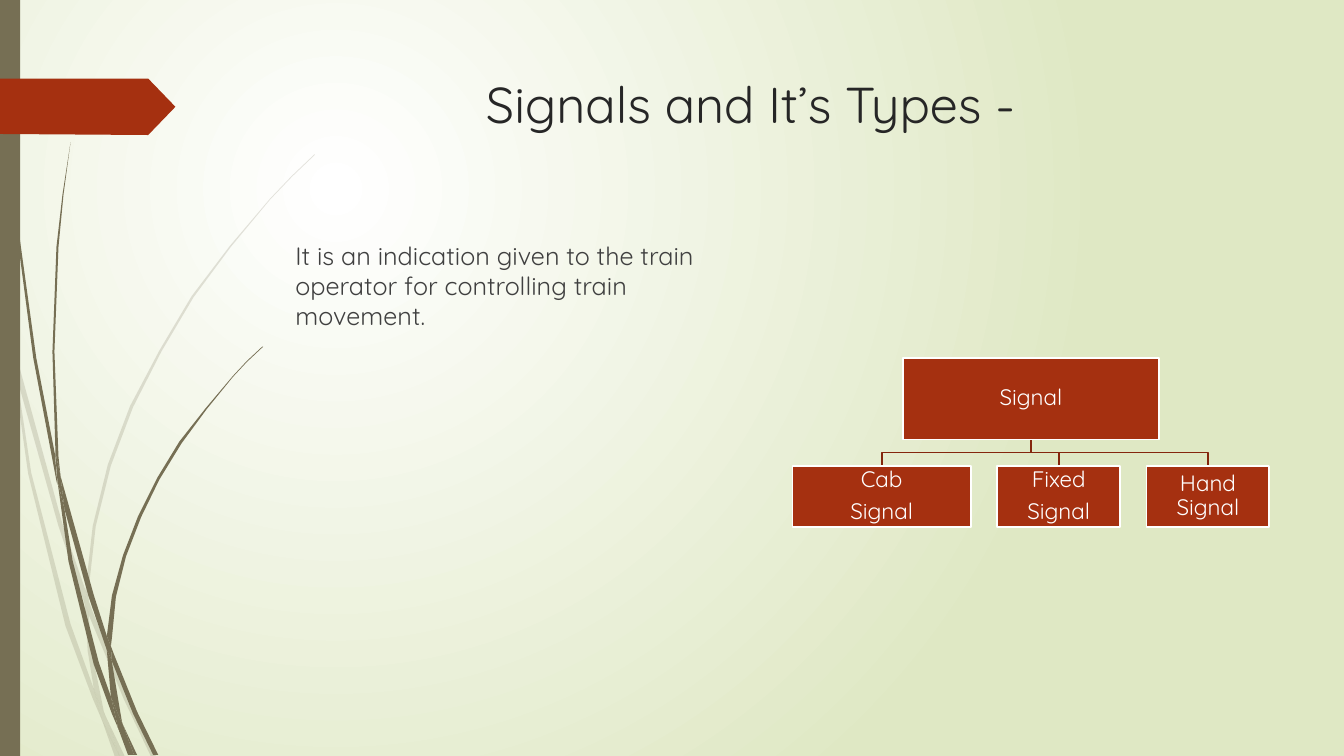
from dataclasses import dataclass

from lxml import etree
from pptx import Presentation
from pptx.dml.color import RGBColor
from pptx.enum.shapes import MSO_SHAPE
from pptx.enum.text import MSO_ANCHOR, MSO_AUTO_SIZE, PP_ALIGN
from pptx.oxml.ns import qn
from pptx.shapes.autoshape import Shape
from pptx.slide import Slide
from pptx.text.text import _Paragraph
from pptx.util import Inches, Pt

RECTANGLE = MSO_SHAPE.RECTANGLE
TOP, MIDDLE = MSO_ANCHOR.TOP, MSO_ANCHOR.MIDDLE
LEFT, CENTER = PP_ALIGN.LEFT, PP_ALIGN.CENTER
NO_AUTOFIT = MSO_AUTO_SIZE.NONE

FONT = "Quicksand"
OLIVE, RUST, DARK_RUST, WHITE = "766F54", "A53010", "84260D", "FFFFFF"
BOX_GAP, LEVEL_GAP = 0.26, 0.26

Point = tuple[float, float]


@dataclass(frozen=True)
class Grass:
    opacity: int
    outlines: tuple[str, ...]


@dataclass(frozen=True)
class SignalBox:
    lines: tuple[str, ...]
    width: float


PALE_GRASS = Grass(20, (
    "0.11,3.5 0.09,3.22 0,2.82 0,2.99 0.1,3.44",
    "0.58,5.22 0.84,5.99 0.85,5.86 0.62,5.2 0.14,3.45 0.17,3.76",
    "0.92,6.07 0.88,5.96 0.88,6.1 1.23,6.94 1.5,7.51 1.55,7.51 1.27,6.92",
    "1.19,7.51 1.24,7.51 1.05,7.11",
    "0.93,6.83 0.7,6.19 0.31,4.69 0.17,3.76 0.11,3.5 0.28,4.7 0.65,6.21 0.92,6.93 1.01,7.14 0.99,7.07",
    "0.84,5.99 0.87,6.46 0.93,6.83 0.96,6.92 1.05,7.11 1.03,7.06 0.91,6.46 0.88,6.1 0.88,6.08",
    "0.88,5.84 0.95,5.22 1.1,4.62 1.32,4.04 1.6,3.49 1.92,2.95 2.29,2.45 2.68,1.98 2.9,1.75 3.12,1.54 "
    "3.12,1.53 2.89,1.75 2.68,1.97 2.28,2.44 1.9,2.94 1.58,3.48 1.29,4.03 1.07,4.61 0.92,5.22 "
    "0.85,5.84 0.85,5.86 0.88,5.96",
    "1.01,7.14 1.14,7.51 1.19,7.51",
    "0.88,6.08 0.88,6.1 0.88,5.96 0.85,5.86 0.84,5.99",
    "0.96,6.92 0.93,6.83 0.99,7.07 1.01,7.14 1.19,7.51 1.05,7.11",
))
DARK_GRASS = Grass(100, (
    "0.07,1.1 0.17,2.33 0.33,3.55 0.56,4.77 0.57,4.81 0.55,4.57 0.55,4.53 0.36,3.55 0.19,2.32 "
    "0.08,1.09 0.05,0.48 0.04,0 0.03,0 0.04,0.48",
    "0.88,5.92 1.06,6.45 1.06,6.33 1.06,6.31 0.93,5.9 0.6,4.72 0.64,5.05",
    "1.13,6.49 1.1,6.41 1.11,6.56 1.32,7.08 1.52,7.49 1.57,7.49 1.36,7.06",
    "1.1,6.91 0.98,6.57 0.72,5.56 0.64,5.05 0.57,4.77 0.68,5.57 0.93,6.59 1.11,7.08 1.17,7.22 1.16,7.17",
    "0.6,4.72 0.58,4.53 0.54,3.49 0.58,2.45 0.63,1.93 0.7,1.41 0.62,1.93 0.56,2.45 0.52,3.49 0.55,4.49",
    "1.33,7.49 1.36,7.49 1.22,7.19",
    "0.57,4.77 0.64,5.05 0.6,4.72 0.55,4.49 0.55,4.53",
    "1.11,6.33 1.15,5.92 1.25,5.52 1.4,5.13 1.58,4.76 1.8,4.4 2.05,4.06 2.31,3.74 2.45,3.59 2.61,3.44 "
    "2.6,3.44 2.45,3.58 2.31,3.73 2.04,4.05 1.78,4.38 1.56,4.74 1.37,5.12 1.22,5.51 1.11,5.91 "
    "1.06,6.31 1.1,6.41",
    "1.17,7.22 1.27,7.49 1.31,7.49",
    "1.06,6.45 1.1,6.91 1.16,7.06 1.22,7.19 1.21,7.16 1.11,6.56 1.09,6.51",
    "1.06,6.45 1.09,6.51 1.11,6.56 1.1,6.41 1.06,6.31 1.06,6.33",
    "1.16,7.06 1.1,6.91 1.16,7.17 1.17,7.22 1.3,7.49 1.33,7.49 1.22,7.19",
))
RIBBON = [(0, 0.78), (1.47, 0.78), (1.74, 1.06), (1.47, 1.34), (0, 1.33)]
ROOT = SignalBox(("Signal",), 2.54)
KINDS = (SignalBox(("Cab", "Signal"), 1.77), SignalBox(("Fixed", "Signal"), 1.22), SignalBox(("Hand Signal",), 1.22))


def color(hex_code: str) -> RGBColor:
    return RGBColor.from_string(hex_code)


def paint(shape: Shape, fill: str | None, line: str | None = None) -> None:
    shape.shadow.inherit = False
    if fill:
        shape.fill.solid()
        shape.fill.fore_color.rgb = color(fill)
    else:
        shape.fill.background()
    if line:
        shape.line.color.rgb = color(line)
        shape.line.width = Pt(1.25)
    else:
        shape.line.fill.background()


def add_outline(slide: Slide, points: list[Point], close: bool = True) -> Shape:
    start, *rest = [(Inches(x), Inches(y)) for x, y in points]
    builder = slide.shapes.build_freeform(*start)
    builder.add_line_segments(rest, close=close)
    return builder.convert_to_shape()


def add_grass(slide: Slide, grass: Grass) -> None:
    for outline in grass.outlines:
        points = [(float(x), float(y)) for x, y in (pair.split(",") for pair in outline.split())]
        blade = add_outline(slide, points)
        paint(blade, OLIVE)
        if grass.opacity < 100:
            tint = blade.element.spPr.find(f"{qn('a:solidFill')}/{qn('a:srgbClr')}")
            etree.SubElement(tint, qn("a:alpha"), val=str(grass.opacity * 1000))


def add_rectangle(slide: Slide, left: float, top: float, width: float, height: float) -> Shape:
    return slide.shapes.add_shape(RECTANGLE, Inches(left), Inches(top), Inches(width), Inches(height))


def add_run(paragraph: _Paragraph, text: str, size: float, hex_code: str) -> None:
    run = paragraph.add_run()
    run.text = text
    run.font.name, run.font.size = FONT, Pt(size)
    run.font.color.rgb = color(hex_code)


def add_signal_box(slide: Slide, box: SignalBox, left: float, top: float, height: float) -> None:
    rectangle = add_rectangle(slide, left, top, box.width, height)
    paint(rectangle, RUST, WHITE)
    frame = rectangle.text_frame
    frame.word_wrap, frame.vertical_anchor = True, MIDDLE
    frame.margin_left = frame.margin_right = frame.margin_top = frame.margin_bottom = Inches(0.01)
    for index, line in enumerate(box.lines):
        paragraph = frame.add_paragraph() if index else frame.paragraphs[0]
        paragraph.alignment, paragraph.line_spacing, paragraph.space_after = CENTER, 0.9, Pt(5.6)
        add_run(paragraph, line, 16, WHITE)


def fill_placeholder(holder: Shape, box: tuple[float, ...], text: str, size: float, hex_code: str,
                     indent: float = 0) -> _Paragraph:
    holder.left, holder.top, holder.width, holder.height = map(Inches, box)
    frame = holder.text_frame
    frame.word_wrap, frame.auto_size, frame.vertical_anchor = True, NO_AUTOFIT, TOP
    paragraph = frame.paragraphs[0]
    paragraph.alignment = LEFT
    add_run(paragraph, text, size, hex_code)
    properties = paragraph._p.get_or_add_pPr()
    properties.set("marL", str(Inches(indent)))
    properties.set("indent", "0")
    etree.SubElement(properties, qn("a:buNone"))
    return paragraph


def set_background(slide: Slide) -> None:
    fill = slide.background.fill
    fill.gradient()
    for stop, hex_code, position in zip(fill.gradient_stops, (WHITE, "DFE8C4"), (0, 1)):
        stop.color.rgb, stop.position = color(hex_code), position
    gradient = slide.element.find(f".//{qn('a:gradFill')}")
    gradient.remove(gradient.find(qn("a:lin")))
    glow = etree.SubElement(gradient, qn("a:path"), path="circle")
    etree.SubElement(glow, qn("a:fillToRect"), l="50000", t="50000", r="100000", b="100000")


def add_signal_tree(slide: Slide, left: float, top: float) -> None:
    root_height, kind_height = 0.81, 0.61
    row_width = sum(kind.width for kind in KINDS) + BOX_GAP * (len(KINDS) - 1)
    center, trunk = left + row_width / 2, top + root_height
    branch, row_top = trunk + LEVEL_GAP / 2, trunk + LEVEL_GAP
    lefts = [left + sum(kind.width + BOX_GAP for kind in KINDS[:index]) for index in range(len(KINDS))]
    for kind, kind_left in zip(KINDS, lefts):
        middle = kind_left + kind.width / 2
        link = [(center, trunk), (center, branch), (middle, branch), (middle, row_top)]
        paint(add_outline(slide, link, close=False), None, DARK_RUST)
    add_signal_box(slide, ROOT, center - ROOT.width / 2, top, root_height)
    for kind, kind_left in zip(KINDS, lefts):
        add_signal_box(slide, kind, kind_left, row_top, kind_height)


def main() -> None:
    deck = Presentation()
    deck.slide_width, deck.slide_height = Inches(13.33), Inches(7.5)
    slide = deck.slides.add_slide(deck.slide_layouts[1])
    set_background(slide)
    add_grass(slide, PALE_GRASS)
    add_grass(slide, DARK_GRASS)
    paint(add_rectangle(slide, 0, 0, 0.2, 7.5), OLIVE)
    paint(add_outline(slide, RIBBON), RUST)
    fill_placeholder(slide.shapes.title, (2.84, 0.68, 9.75, 1.4), "Signals and It’s Types -", 36, "262626", 1.88)
    definition = fill_placeholder(
        slide.placeholders[1], (2.83, 2.33, 4.72, 4.13),
        "It is an indication given to the train operator for controlling train movement.", 18, "404040")
    definition.space_before = Pt(10)
    add_signal_tree(slide, 7.86, 3.55)
    deck.save("out.pptx")


if __name__ == "__main__":
    main()
